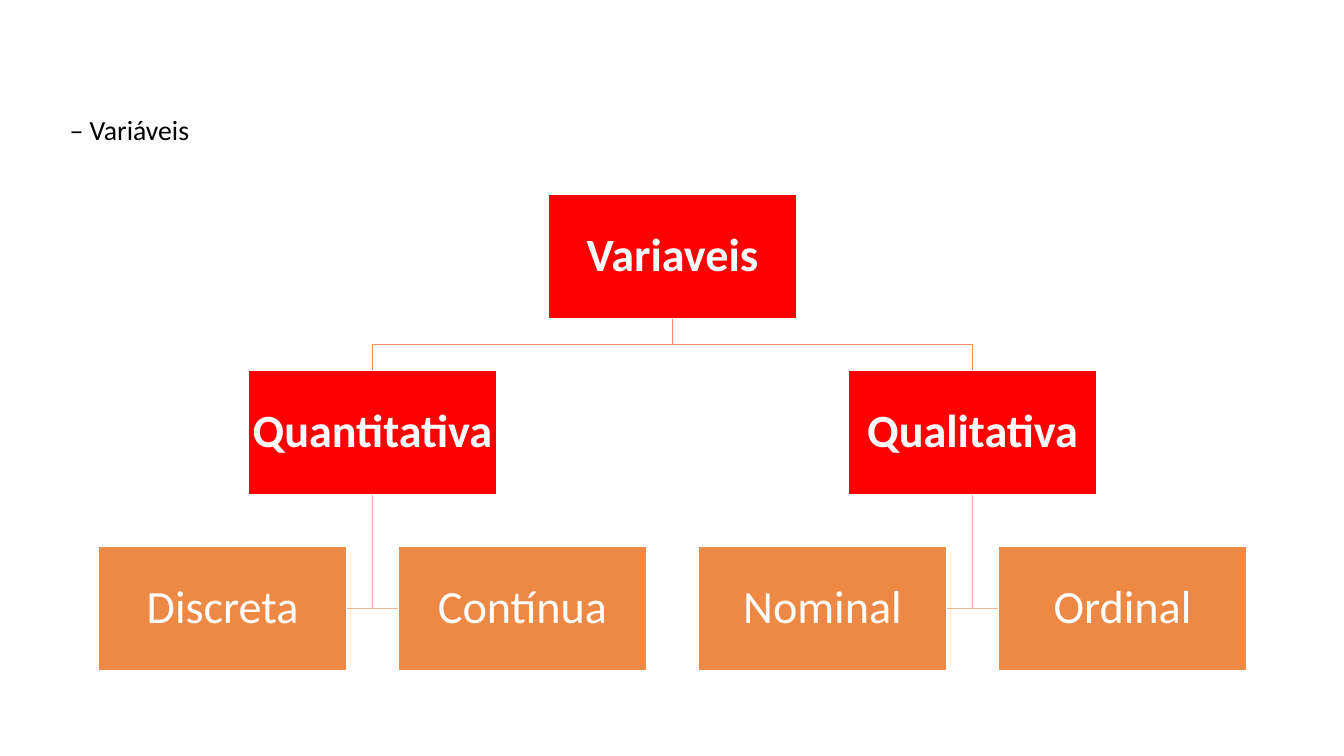
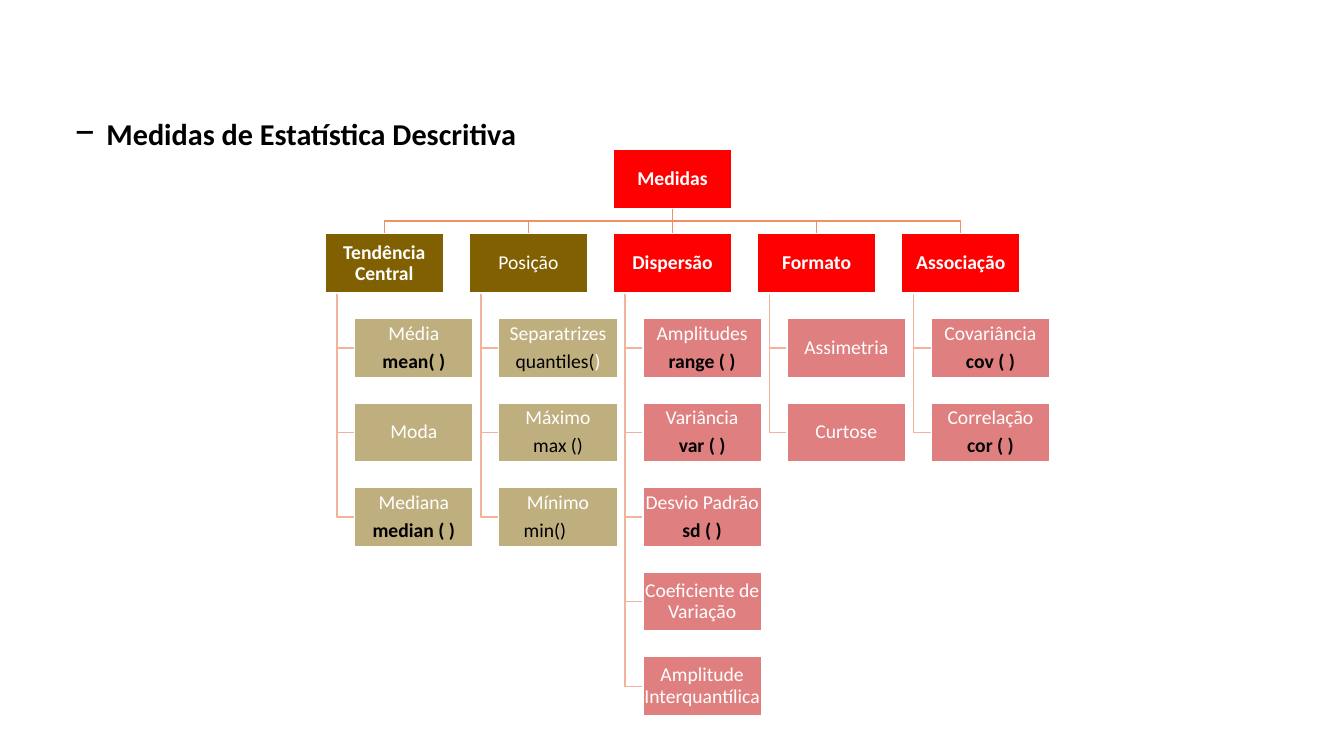
from dataclasses import dataclass
from lxml import etree
from pptx import Presentation
from pptx.dml.color import RGBColor
from pptx.enum.shapes import MSO_CONNECTOR, MSO_SHAPE
from pptx.enum.text import MSO_ANCHOR, MSO_AUTO_SIZE, PP_ALIGN
from pptx.oxml.ns import qn
from pptx.util import Pt

RECT, LINE = MSO_SHAPE.RECTANGLE, MSO_CONNECTOR.STRAIGHT
LEFT, MID = PP_ALIGN.LEFT, PP_ALIGN.CENTER
CENTER, FIXED = MSO_ANCHOR.MIDDLE, MSO_AUTO_SIZE.NONE


# Theme
@dataclass
class Theme:
    font: str = "Calibri"
    white: str = "FFFFFF"
    black: str = "000000"
    red: str = "FF0000"
    wine: str = "C00000"
    olive: str = "806000"
    orange: str = "ED7D31"
    trunk: str = "EF9166"
    twig: str = "F3B29A"
    large: float = 33
    small: float = 14
    plain: float = 19.8
    strong: float = 21.6
    dash: float = 32.4


T = Theme()
rgb = RGBColor.from_string


# Each paragraph is a list of runs: text, size, colour, bold
def write(frame, paras, align):
    frame.word_wrap = True
    frame.auto_size = FIXED
    frame.vertical_anchor = CENTER
    for i, runs in enumerate(paras):
        para = frame.paragraphs[0] if i == 0 else frame.add_paragraph()
        para.alignment = align
        para.line_spacing = 0.9
        para.space_before = Pt(0)
        para.space_after = Pt(0.35 * runs[0][1] if i < len(paras) - 1 else 0)
        for text, size, color, bold in runs:
            run = para.add_run()
            run.text = text
            font = run.font
            font.name, font.size, font.bold = T.font, Pt(size), bold
            font.color.rgb = rgb(color)


def link(shapes, points, color):
    points = [(Pt(x), Pt(y)) for x, y in points]
    if len({x for x, y in points}) == 1:
        line = shapes.add_connector(LINE, *points[0], *points[-1])
        etree.SubElement(line._element.spPr, qn("a:effectLst"))
    else:
        path = shapes.build_freeform(*points[0])
        path.add_line_segments(points[1:], close=False)
        line = path.convert_to_shape()
        line.fill.background()
        line.shadow.inherit = False
    line.line.color.rgb = rgb(color)
    line.line.width = Pt(1)


mid = 480.4   # centre line of both trees

# Tree of variables: boxes are left, top, paragraphs, fill, opacity
wide, high, gap, top = 177.2, 88.6, 37.1, 139
step, row = wide + gap, high + gap
big_box = [(mid - wide / 2, top, [[("Variaveis", T.large, T.white, True)]], T.red, 100)]
big_link = []
groups = [("Quantitativa ", ["Discreta", "Contínua"]),
          ("Qualitativa", ["Nominal", "Ordinal"])]
for side, (name, leaves) in zip((-1, 1), groups):
    x, y = mid + side * step, top + row
    big_link.append(([(mid, y - gap), (mid, y - gap / 2), (x, y - gap / 2), (x, y)], T.trunk))
    big_box.append((x - wide / 2, y, [[(name, T.large, T.white, True)]], T.red, 100))
    for turn, leaf in zip((-1, 1), leaves):
        edge, low = x + turn * gap / 2, y + row + high / 2
        big_link.append(([(x, y + high), (x, low), (edge, low)], T.twig))
        big_box.append((x + turn * step / 2 - wide / 2, y + row,
                        [[(leaf, T.large, T.white, False)]], T.orange, 90))

# Tree of measures: leaves are name, call, white end of call
thin, flat, space, start = 84.6, 42.3, 18.1, 106.6
pitch, drop = 102.96, flat + space
tiny_box = [(mid - thin / 2, start, [[("Medidas", T.small, T.white, True)]], T.red, 100)]
tiny_link = []
columns = [
    ("Tendência Central", True, T.olive, T.olive,
     [("Média", "mean( )"), ("Moda",), ("Mediana", "median ( )")]),
    ("Posição", False, T.olive, T.olive,
     [("Separatrizes", "quantiles(", ")"), ("Máximo", "max ()"), ("Mínimo", "min()")]),
    ("Dispersão", True, T.red, T.wine,
     [("Amplitudes", "range ( )"), ("Variância", "var ( )"), ("Desvio Padrão", "sd ( )"),
      ("Coeficiente de Variação",), ("Amplitude Interquantílica",)]),
    ("Formato", True, T.red, T.wine, [("Assimetria",), ("Curtose",)]),
    ("Associação", True, T.red, T.wine,
     [("Covariância", "cov ( )"), ("Correlação", "cor ( )")]),
]
for i, (name, bold, fill, tint, leaves) in enumerate(columns):
    x, y = mid + (i - 2) * pitch, start + drop
    bend = [] if i == 2 else [(mid, y - space / 2), (x, y - space / 2)]
    tiny_link.append(([(mid, y - space), *bend, (x, y)], T.trunk))
    left = x - thin / 2
    tiny_box.append((left, y, [[(name, T.small, T.white, bold)]], fill, 100))
    spine, edge = left + thin / 10, left + thin / 4
    for j, (leaf, *call) in enumerate(leaves, 1):
        low = y + j * drop
        tiny_link.append(([(spine, y + flat), (spine, low + flat / 2),
                           (edge, low + flat / 2)], T.twig))
        paras = [[(leaf, T.small, T.white, False)]]
        if call:
            paras.append([(text, T.small, color, bold)
                          for text, color in zip(call, (T.black, T.white))])
        tiny_box.append((edge, low, paras, tint, 50))

# Slides
pages = [
    ([(" – Variáveis", T.plain, T.black, False)], big_box, big_link, wide, high, 1.65),
    ([(" – ", T.dash, T.black, False),
      ("Medidas de Estatística Descritiva", T.strong, T.black, True)],
     tiny_box, tiny_link, thin, flat, 0.7),
]
deck = Presentation()
deck.slide_width, deck.slide_height = Pt(960), Pt(540)
drawn = {}
for head, boxes, links, width, height, inset in pages:
    slide = deck.slides.add_slide(deck.slide_layouts[5])
    shapes = slide.shapes

    # Title
    title = shapes.title
    title.left, title.top, title.width, title.height = Pt(38), Pt(80.6), Pt(828), Pt(26)
    write(title.text_frame, [head], LEFT)

    # Lines, then boxes over them
    for points, color in links:
        link(shapes, points, color)
    for x, y, paras, fill, solid in boxes:
        box = shapes.add_shape(RECT, Pt(x), Pt(y), Pt(width), Pt(height))
        box.shadow.inherit = False
        box.fill.solid()
        box.fill.fore_color.rgb = rgb(fill)
        if solid < 100:
            tone = box._element.spPr.find(qn("a:solidFill"))[0]
            etree.SubElement(tone, qn("a:alpha")).set("val", str(solid * 1000))
        box.line.color.rgb = rgb(T.white)
        box.line.width = Pt(1)
        frame = box.text_frame
        frame.margin_left = frame.margin_right = Pt(inset)
        frame.margin_top = frame.margin_bottom = Pt(inset)
        write(frame, paras, MID)
        drawn[paras[0][0][0]] = frame

# The call for the minimum stands left of centre
para = drawn["Mínimo"].paragraphs[1]
para.alignment = LEFT
para._p.get_or_add_pPr().set("marL", str(Pt(17)))

deck.save("out.pptx")
